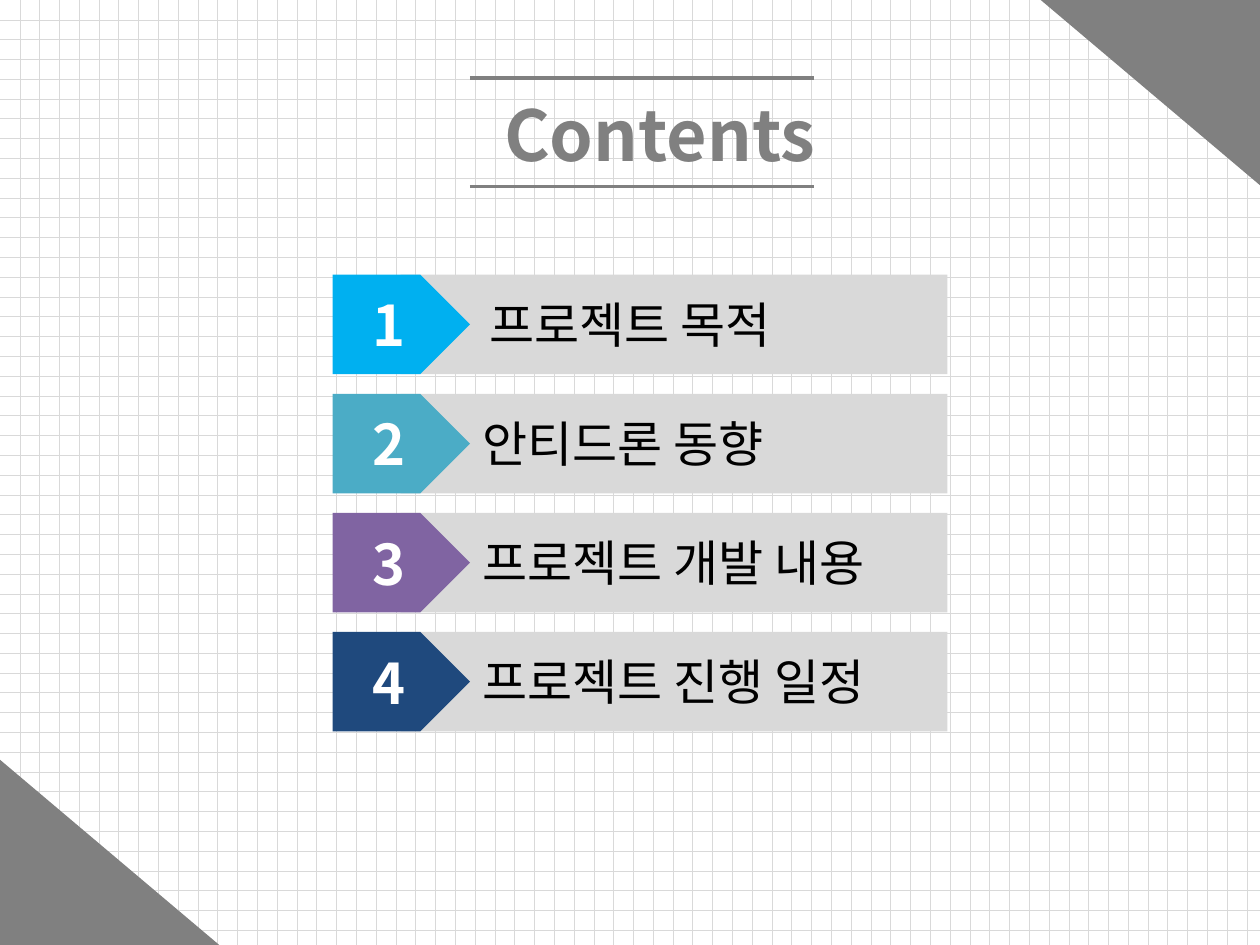
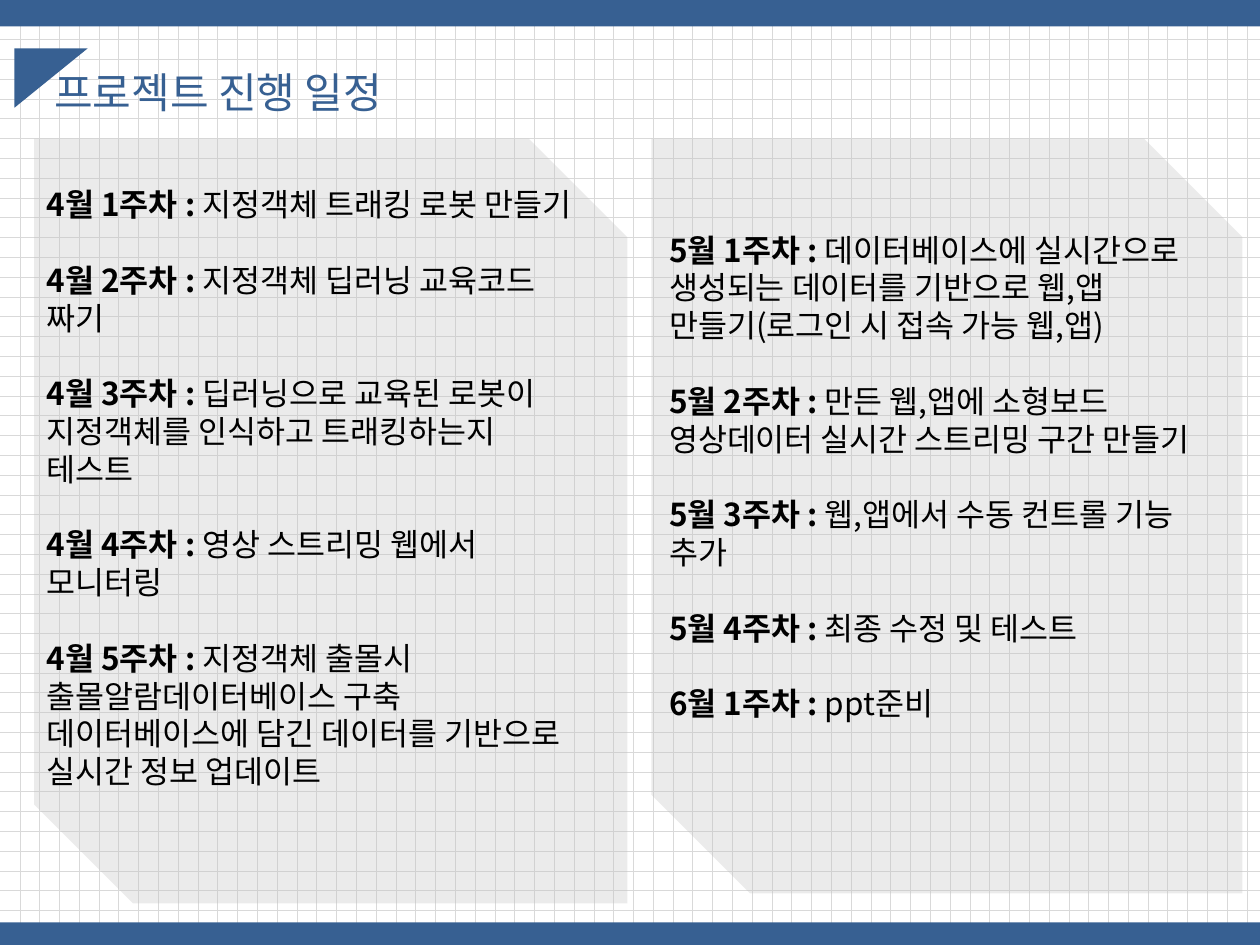
from dataclasses import dataclass

from lxml.etree import SubElement
from pptx import Presentation
from pptx.dml.color import RGBColor
from pptx.enum.dml import MSO_PATTERN as Pattern
from pptx.enum.shapes import MSO_CONNECTOR as Connector
from pptx.enum.shapes import MSO_SHAPE as Shape
from pptx.enum.text import MSO_ANCHOR as Anchor
from pptx.enum.text import MSO_AUTO_SIZE as AutoSize
from pptx.enum.text import PP_ALIGN as Align
from pptx.oxml.ns import qn
from pptx.util import Inches, Pt


@dataclass(frozen=True)
class Theme:
    font: str = "Noto Sans CJK KR"
    paper: str = "FFFFFF"
    grid: str = "D9D9D9"
    ink: str = "000000"
    gray: str = "808080"
    blue: str = "376092"
    panel: str = "BFBFBF"
    panel_opacity: int = 30
    contents_size: float = 40
    number_size: float = 32
    label_size: float = 28
    heading_size: float = 24
    body_size: float = 18
    week_gap: float = 21.6
    rule_width: float = 2.25


THEME = Theme()
WIDTH, HEIGHT = Inches(10), Inches(7.5)
COLUMNS, ROWS = 100, 75
TITLE_ONLY, TWO_CONTENT = 5, 3

CHAPTERS = [
    ("프로젝트 목적", "00B0F0", 37.9),
    ("안티드론 동향", "4BACC6", 37.3),
    ("프로젝트 개발 내용", "8064A2", 37.3),
    ("프로젝트 진행 일정", "1F497D", 37.3),
]
APRIL = [
    ("4월 1주차 : ", "지정객체 트래킹 로봇 만들기"),
    ("4월 2주차 : ", "지정객체 딥러닝 교육코드 짜기"),
    ("4월 3주차 : ", "딥러닝으로 교육된 로봇이 지정객체를 인식하고 트래킹하는지 테스트"),
    ("4월 4주차 : ", "영상 스트리밍 웹에서 모니터링"),
    ("4월 5주차 : ", "지정객체 출몰시 출몰알람데이터베이스 구축 "
     "데이터베이스에 담긴 데이터를 기반으로 실시간 정보 업데이트"),
]
MAY = [
    ("5월 1주차 : ", "데이터베이스에 실시간으로 생성되는 데이터를 기반으로 "
     "웹,앱 만들기(로그인 시 접속 가능 웹,앱)"),
    ("5월 2주차 : ", "만든 웹,앱에 소형보드 영상데이터 실시간 스트리밍 구간 만들기"),
    ("5월 3주차 : ", "웹,앱에서 수동 컨트롤 기능 추가"),
    ("5월 4주차 : ", "최종 수정 및 테스트"),
    ("6월 1주차 : ", "ppt준비"),
]


def across(columns):
    return round(WIDTH * columns / COLUMNS)


def down(rows):
    return round(HEIGHT * rows / ROWS)


def area(left, top, width, height):
    return across(left), down(top), across(width), down(height)


def write(paragraph, text, size, color=THEME.ink, bold=False):
    span = paragraph.add_run()
    span.text = text
    span.font.size = Pt(size)
    span.font.bold = bold
    span.font.color.rgb = RGBColor.from_string(color)
    span.font.name = THEME.font
    properties = span._r.get_or_add_rPr()
    SubElement(properties, qn("a:ea")).set("typeface", THEME.font)


def prepare(box, anchor=Anchor.TOP):
    frame = box.text_frame
    frame.word_wrap = True
    frame.auto_size = AutoSize.NONE
    frame.vertical_anchor = anchor
    return frame


def move(box, left, top, width, height):
    box.left, box.top, box.width, box.height = area(left, top, width, height)


def add_page(deck, layout):
    page = deck.slides.add_slide(deck.slide_layouts[layout])
    fill = page.background.fill
    fill.patterned()
    fill.pattern = Pattern.DOTTED_GRID
    fill.fore_color.rgb = RGBColor.from_string(THEME.grid)
    fill.back_color.rgb = RGBColor.from_string(THEME.paper)
    return page


def set_title(page, text, place, **style):
    title = page.shapes.title
    move(title, *place)
    paragraph = prepare(title).paragraphs[0]
    paragraph.alignment = Align.LEFT
    write(paragraph, text, **style)


def add_block(shapes, kind, place, color, rotation=0, opacity=100):
    block = shapes.add_shape(kind, *area(*place))
    block.shadow.inherit = False
    block.fill.solid()
    block.fill.fore_color.rgb = RGBColor.from_string(color)
    block.line.fill.background()
    block.rotation = rotation
    if opacity < 100:
        tint = block.element.spPr.find(qn("a:solidFill")).find(qn("a:srgbClr"))
        SubElement(tint, qn("a:alpha")).set("val", str(opacity * 1000))
    return block


def add_rule(page, left, right, top):
    rule = page.shapes.add_connector(
        Connector.STRAIGHT, across(left), down(top), across(right), down(top))
    rule.line.color.rgb = RGBColor.from_string(THEME.gray)
    rule.line.width = Pt(THEME.rule_width)
    SubElement(rule.element.spPr, qn("a:effectLst"))


def add_chapter(page, number, label, color, label_left, top):
    group = page.shapes.add_group_shape().shapes
    add_block(group, Shape.RECTANGLE, (31.8, top, 43.4, 7.9), THEME.grid)
    arrow = add_block(group, Shape.PENTAGON, (26.4, top, 10.9, 7.9), color)
    paragraph = prepare(arrow, Anchor.MIDDLE).paragraphs[0]
    paragraph.alignment = Align.CENTER
    write(paragraph, str(number), THEME.number_size, THEME.paper, bold=True)
    box = group.add_textbox(*area(label_left, top + 1.1, 36.1, 5.7))
    write(prepare(box).paragraphs[0], label, THEME.label_size)


def fill_schedule(page, holder, weeks, place):
    move(holder, *place)
    page.shapes.element.append(holder.element)
    frame = prepare(holder)
    for index, (week, task) in enumerate(weeks):
        paragraph = frame.add_paragraph() if index else frame.paragraphs[0]
        paragraph.alignment = Align.LEFT
        paragraph.space_before = Pt(THEME.week_gap if index else 0)
        properties = paragraph._p.get_or_add_pPr()
        properties.set("marL", "0")
        properties.set("indent", "0")
        SubElement(properties, qn("a:buNone"))
        write(paragraph, week, THEME.body_size, bold=True)
        write(paragraph, task, THEME.body_size)


def build_contents(deck):
    page = add_page(deck, TITLE_ONLY)
    corner_width, corner_height = 17.4, 14.7
    for left, top, rotation in (
            (0, ROWS - corner_height, 0), (COLUMNS - corner_width, 0, 180)):
        add_block(page.shapes, Shape.RIGHT_TRIANGLE,
                  (left, top, corner_width, corner_height), THEME.gray, rotation)
    set_title(page, "Contents", (39, 6.8, 29, 7.7),
              size=THEME.contents_size, color=THEME.gray, bold=True)
    for top in (6.2, 14.8):
        add_rule(page, 37.3, 64.6, top)
    for index, (label, color, label_left) in enumerate(CHAPTERS):
        add_chapter(page, index + 1, label, color, label_left, 21.8 + 9.45 * index)


def build_schedule(deck):
    page = add_page(deck, TWO_CONTENT)
    add_block(page.shapes, Shape.RIGHT_TRIANGLE, (1.7, 3.3, 4.7, 5.8), THEME.blue, 90)
    set_title(page, "프로젝트 진행 일정", (3.3, 4.8, 46.5, 5),
              size=THEME.heading_size, color=THEME.blue)
    for top, height in ((0, 2.1), (73.2, 1.8)):
        add_block(page.shapes, Shape.RECTANGLE, (0, top, COLUMNS, height), THEME.blue)
    months = (
        (1, APRIL, (2.7, 11, 47.1, 60.7), (2.7, 14.2, 43.8, 52.5)),
        (2, MAY, (51.7, 11, 46.9, 59.9), (52.1, 17.8, 43.8, 43.4)),
    )
    for index, weeks, panel, place in months:
        add_block(page.shapes, Shape.SNIP_2_DIAG_RECTANGLE, panel, THEME.panel,
                  opacity=THEME.panel_opacity)
        fill_schedule(page, page.placeholders[index], weeks, place)


def main():
    deck = Presentation()
    deck.slide_width, deck.slide_height = WIDTH, HEIGHT
    build_contents(deck)
    build_schedule(deck)
    deck.save("out.pptx")


if __name__ == "__main__":
    main()
